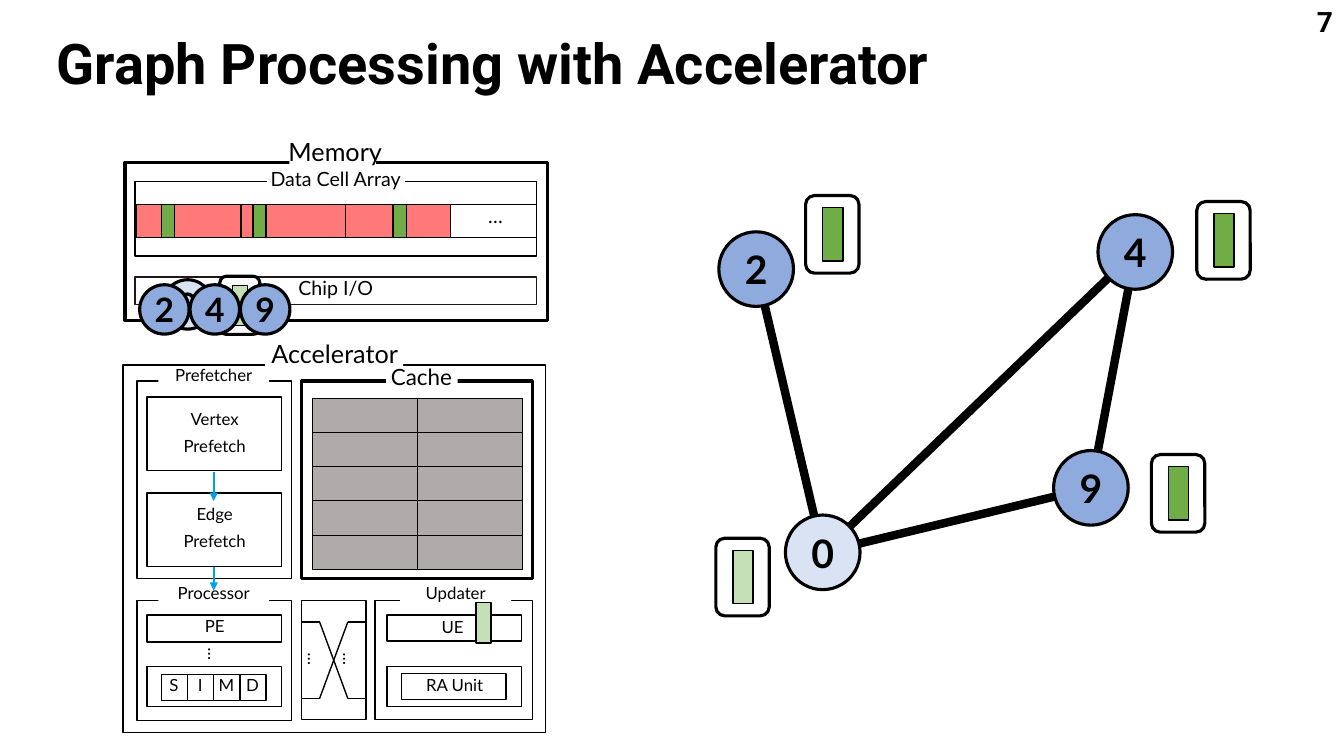
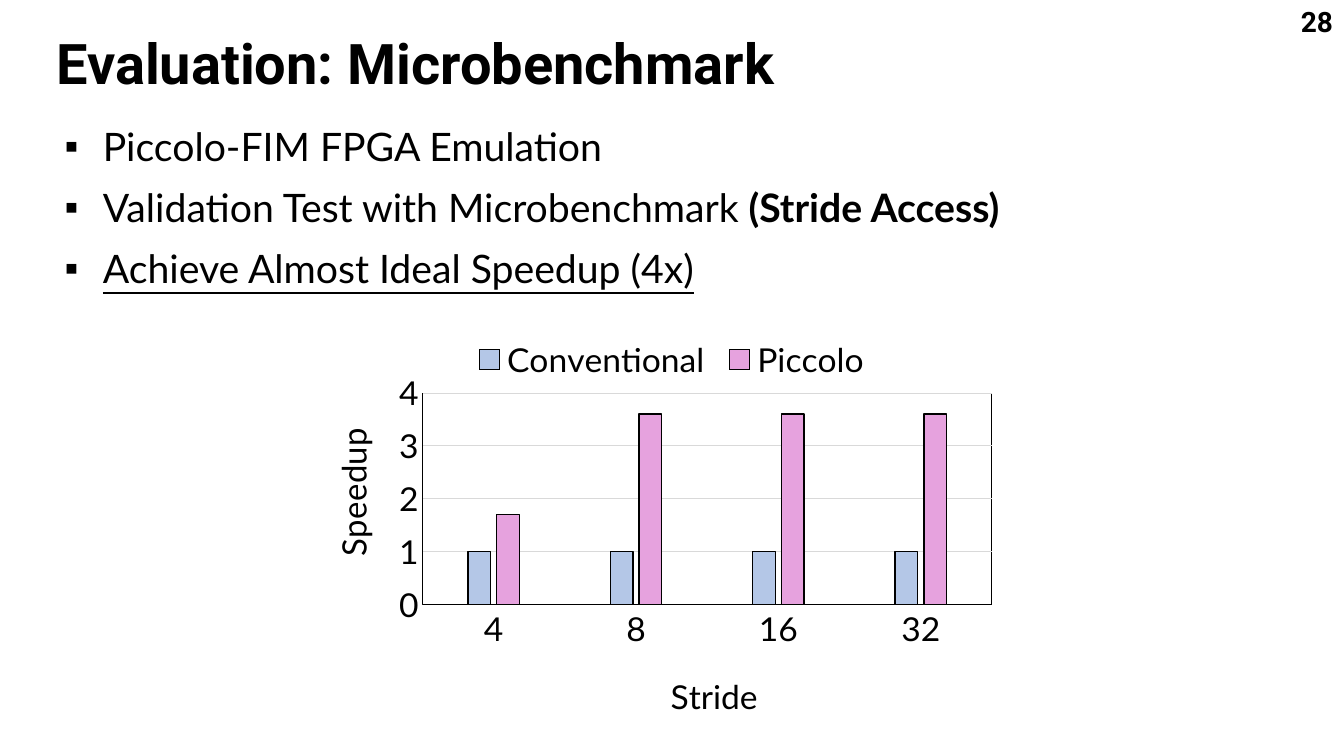
from lxml.etree import SubElement
from pptx import Presentation
from pptx.chart.data import CategoryChartData
from pptx.dml.color import RGBColor
from pptx.enum.chart import XL_CHART_TYPE, XL_LEGEND_POSITION, XL_TICK_MARK
from pptx.enum.shapes import MSO_CONNECTOR, MSO_SHAPE
from pptx.enum.text import MSO_ANCHOR, MSO_AUTO_SIZE, PP_ALIGN
from pptx.oxml import parse_xml
from pptx.oxml.ns import nsdecls, qn
from pptx.util import Inches, Pt

BLACK, WHITE = "000000", "FFFFFF"
BLUE, PALE_BLUE = "8FAADC", "DAE3F3"
GREEN, PALE_GREEN = "70AD47", "C5E0B4"
RED, GRAY, CYAN = "FF7979", "AFABAB", "00A0E9"


def rgb(value):
    return RGBColor.from_string(value)


def assign(target, values):
    for name, value in values.items():
        setattr(target, name, value)


def set_layout(node, **fractions):
    """Give a chart part a manual layout in fractions of the chart."""
    for old in node.findall(qn("c:layout")):
        node.remove(old)
    target = '<c:layoutTarget val="inner"/>' if node.tag == qn("c:plotArea") else ""
    modes = "".join(f'<c:{k}Mode val="edge"/>' for k in "xy")
    sizes = "".join(f'<c:{k} val="{v}"/>' for k, v in fractions.items())
    layout = parse_xml(f'<c:layout {nsdecls("c")}><c:manualLayout>{target}{modes}{sizes}'
                       "</c:manualLayout></c:layout>")
    overlay = node.find(qn("c:overlay"))
    if overlay is None:
        node.insert(0, layout)
    else:
        overlay.addprevious(layout)


class Deck:
    heading_font, body_font = "Roboto", "Lato"

    def __init__(self):
        self.prs = Presentation()
        self.prs.slide_width, self.prs.slide_height = Inches(13.33), Inches(7.5)
        self.slide = None

    def font(self, font, size, name=None, bold=False, underline=False):
        assign(font, {"size": Pt(size), "name": name or self.body_font,
                      "bold": bold, "underline": underline})
        font.color.rgb = rgb(BLACK)

    def place(self, shape, x, y, w, h):
        assign(shape, {"left": Inches(x), "top": Inches(y),
                       "width": Inches(w), "height": Inches(h)})

    def put_text(self, frame, text, size, align=PP_ALIGN.CENTER, spacing=0.9, **style):
        paragraph = frame.paragraphs[0]
        assign(paragraph, {"alignment": align, "line_spacing": spacing})
        run = paragraph.add_run()
        run.text = text
        self.font(run.font, size, **style)

    def new_slide(self, title, number, layout):
        self.slide = self.prs.slides.add_slide(self.prs.slide_layouts[layout])
        heading = self.slide.shapes.title
        self.place(heading, 0.46, 0.29, 12.32, 0.74)
        assign(heading.text_frame, {"vertical_anchor": MSO_ANCHOR.MIDDLE,
                                    "auto_size": MSO_AUTO_SIZE.NONE})
        style = {"name": self.heading_font, "bold": True}
        self.put_text(heading.text_frame, title, 40, PP_ALIGN.LEFT, **style)
        self.label(str(number), 10.32, 0, 3, 0.4, 20, align=PP_ALIGN.RIGHT,
                   side=0.1, spacing=1.0, **style)

    def label(self, text, x, y, w, h=0.33, size=12, rotation=0, side=0, **style):
        box = self.slide.shapes.add_textbox(Inches(x), Inches(y), Inches(w), Inches(h))
        box.rotation = rotation
        assign(box.text_frame, {"word_wrap": True, "margin_left": Inches(side),
                                "margin_right": Inches(side)})
        self.put_text(box.text_frame, text, size, **style)

    def shape(self, x, y, w, h, fill=None, line=BLACK, width=1, kind=MSO_SHAPE.RECTANGLE):
        shape = self.slide.shapes.add_shape(kind, Inches(x), Inches(y), Inches(w), Inches(h))
        shape.shadow.inherit = False
        if fill:
            shape.fill.solid()
            shape.fill.fore_color.rgb = rgb(fill)
        else:
            shape.fill.background()
        if line:
            shape.line.color.rgb = rgb(line)
            shape.line.width = Pt(width)
        else:
            shape.line.fill.background()
        return shape

    def vertex(self, text, cx, cy, fill, diameter=0.74, size=28):
        circle = self.shape(cx - diameter / 2, cy - diameter / 2, diameter, diameter,
                            fill, width=2.25, kind=MSO_SHAPE.OVAL)
        frame = circle.text_frame
        assign(frame, {"margin_left": 0, "margin_right": 0, "margin_top": 0,
                       "margin_bottom": 0, "vertical_anchor": MSO_ANCHOR.MIDDLE})
        self.put_text(frame, text, size, spacing=1.0, bold=True)

    def card(self, x, y, fill, scale=1.0):
        """A rounded card that carries one data chip."""
        self.shape(x, y, 0.53 * scale, 0.77 * scale, WHITE, width=2.25,
                   kind=MSO_SHAPE.ROUNDED_RECTANGLE)
        self.shape(x + 0.17 * scale, y + 0.12 * scale, 0.2 * scale, 0.53 * scale, fill)

    def line(self, x1, y1, x2, y2, color=BLACK, width=1, arrow=False):
        line = self.slide.shapes.add_connector(
            MSO_CONNECTOR.STRAIGHT, Inches(x1), Inches(y1), Inches(x2), Inches(y2))
        line.line.color.rgb = rgb(color)
        line.line.width = Pt(width)
        properties = line._element.spPr
        if arrow:
            SubElement(properties.find(qn("a:ln")), qn("a:tailEnd"), type="triangle")
        SubElement(properties, qn("a:effectLst"))

    def bullets(self, items, x, y, w, h):
        body = self.slide.placeholders[1]
        self.place(body, x, y, w, h)
        frame = body.text_frame
        frame.auto_size = MSO_AUTO_SIZE.NONE
        for i, runs in enumerate(items):
            paragraph = frame.add_paragraph() if i else frame.paragraphs[0]
            properties = paragraph._p.get_or_add_pPr()
            properties.set("marL", str(Inches(0.38)))
            properties.set("indent", str(Inches(-0.38)))
            SubElement(properties, qn("a:buChar"), char="▪")
            paragraph.space_before = Pt(10 if i else 0)
            for text, style in runs:
                run = paragraph.add_run()
                run.text = text
                self.font(run.font, 28, **style)

    def column_chart(self, categories, series, x, y, w, h):
        data = CategoryChartData()
        data.categories = categories
        for name, values, _ in series:
            data.add_series(name, values)
        chart = self.slide.shapes.add_chart(
            XL_CHART_TYPE.COLUMN_CLUSTERED, Inches(x), Inches(y), Inches(w), Inches(h),
            data).chart
        self.font(chart.font, 24)
        chart.has_title = False
        plot = chart.plots[0]
        assign(plot, {"gap_width": 400, "overlap": -27, "vary_by_categories": False})
        for bars, (_, _, color) in zip(plot.series, series):
            bars.invert_if_negative = False
            bars.format.fill.solid()
            bars.format.fill.fore_color.rgb = rgb(color)
            bars.format.line.color.rgb = rgb(BLACK)
            bars.format.line.width = Pt(1)
        # Legend and plot frame
        chart.has_legend = True
        assign(chart.legend, {"position": XL_LEGEND_POSITION.TOP, "include_in_layout": False})
        self.font(chart.legend.font, 24)
        set_layout(chart.element.xpath(".//c:legend")[0], x=0.24, y=0.03, w=0.58, h=0.11)
        plot_area = chart.element.xpath(".//c:plotArea")[0]
        set_layout(plot_area, x=0.18, y=0.17, w=0.8, h=0.54)
        plot_area.append(parse_xml(
            f'<c:spPr {nsdecls("c", "a")}><a:noFill/><a:ln w="{Pt(0.75)}"><a:solidFill>'
            f'<a:srgbClr val="{BLACK}"/></a:solidFill></a:ln></c:spPr>'))
        return chart

    def axis(self, axis, title, x, y, turn=0):
        assign(axis, {"major_tick_mark": XL_TICK_MARK.NONE,
                      "minor_tick_mark": XL_TICK_MARK.NONE, "has_title": True})
        self.font(axis.tick_labels.font, 24)
        frame = axis.axis_title.text_frame
        self.put_text(frame, title, 24, spacing=1.0)
        node = axis.axis_title._element
        node.xpath(".//a:bodyPr")[0].set("rot", str(turn * 60000))
        set_layout(node, x=x, y=y)


def draw_graph(deck):
    centers = {"0": (8.16, 5.48), "2": (7.5, 2.67), "4": (11.26, 2.5), "9": (10.82, 4.84)}
    for start, end in ("40", "90", "49", "20"):
        deck.line(*centers[start], *centers[end], width=6)
    for name, center in centers.items():
        deck.vertex(name, *center, PALE_BLUE if name == "0" else BLUE)
    for x, y, fill in ((7.99, 1.94, GREEN), (11.87, 2, GREEN),
                       (11.42, 4.51, GREEN), (7.1, 5.34, PALE_GREEN)):
        deck.card(x, y, fill)


def draw_accelerator(deck):
    # Outer frame and the four units
    deck.shape(1.22, 3.62, 4.19, 3.65)
    for x, y, w, h in ((1.36, 3.78, 1.53, 1.96), (1.36, 5.96, 1.53, 1.19),
                       (3.72, 5.96, 1.56, 1.18), (2.99, 5.96, 0.64, 1.18)):
        deck.shape(x, y, w, h)
    deck.shape(2.99, 3.78, 2.29, 1.96, width=2.25)
    # Blocks inside the units
    for y, h in ((3.94, 0.73), (4.89, 0.73), (6.1, 0.27), (6.61, 0.4)):
        deck.shape(1.46, y, 1.33, h)
    for y, h in ((6.1, 0.26), (6.61, 0.4)):
        deck.shape(3.84, y, 1.33, h)
    deck.shape(3.98, 6.68, 1.04, 0.26)
    for i, letter in enumerate("SIMD"):
        deck.shape(1.6 + 0.26 * i, 6.69, 0.26, 0.26)
        deck.label(letter, 1.55 + 0.26 * i, 6.67, 0.35)
    # Crossbar
    for y, opposite in ((6.17, 6.93), (6.93, 6.17)):
        deck.line(2.99, y, 3.17, y)
        deck.line(3.45, y, 3.63, y)
        deck.line(3.17, y, 3.45, opposite)
    # Captions that interrupt the frames
    for text, gap, box, size in (
            ("Accelerator", (2.63, 3.31, 1.37, 0.42), (2.5, 3.34), 18),
            ("Prefetcher", (1.57, 3.64, 1.1, 0.22), (1.3, 3.59), 12),
            ("Processor", (1.57, 5.79, 1.1, 0.22), (1.3, 5.75), 12),
            ("Updater", (3.97, 5.79, 1.1, 0.22), (3.7, 5.75), 12),
            ("Cache", (3.83, 3.68, 0.71, 0.17), (3.36, 3.58), 16)):
        deck.shape(*gap, fill=WHITE, line=None)
        deck.label(text, *box, 1.64, size=size)
    for text, x, y in (("Vertex", 1.6, 4.03), ("Prefetch", 1.6, 4.3), ("Edge", 1.6, 4.97),
                       ("Prefetch", 1.6, 5.24), ("PE", 1.6, 6.08),
                       ("UE", 3.96, 6.09), ("RA Unit", 3.98, 6.67)):
        deck.label(text, x, y, 1.06)
    for x, y in ((1.88, 6.32), (2.87, 6.37), (3.22, 6.37)):
        deck.label("…", x, y, 0.35, rotation=270)
    for top, bottom in ((4.68, 4.97), (5.63, 5.86)):
        deck.line(2.12, top, 2.12, bottom, CYAN, 1.5, arrow=True)
    # Cache lines
    for row in range(5):
        for column in range(2):
            deck.shape(3.1 + 1.04 * column, 3.95 + 0.34 * row, 1.04, 0.34, GRAY, width=0.75)
    # Datum in the update engine
    deck.shape(4.72, 5.98, 0.15, 0.4, PALE_GREEN)


def draw_memory(deck):
    deck.shape(1.24, 1.61, 4.19, 1.57, WHITE, width=2.25)
    deck.shape(1.34, 1.8, 3.98, 0.74, WHITE)
    deck.shape(1.35, 2.03, 3.97, 0.33, WHITE)
    deck.label("…", 4.78, 2, 0.27, size=14)
    deck.shape(2.65, 1.75, 1.37, 0.13, WHITE, None)
    deck.label("Data Cell Array", 2.41, 1.63, 1.84, size=14)
    deck.shape(1.34, 2.75, 3.98, 0.27, WHITE, "231815")
    deck.label("Chip I/O", 2.81, 2.69, 1.04, size=14, spacing=1.0)
    deck.shape(2.87, 1.33, 0.86, 0.3, WHITE, None)
    deck.label("Memory", 2.74, 1.34, 1.17, size=18)
    # Data cells, each with one wanted word
    for i in range(3):
        deck.shape(1.35 + 1.04 * i, 2.03, 1.04, 0.33, RED)
    for x in (1.6, 2.51, 3.9):
        deck.shape(x, 2.03, 0.13, 0.33, GREEN)
    # Vertices waiting at the chip interface
    small = {"diameter": 0.49, "size": 24}
    deck.vertex("0", 1.86, 3.02, PALE_BLUE, **small)
    deck.card(2.18, 2.74, PALE_GREEN, 0.75)
    for i, name in enumerate("249"):
        deck.vertex(name, 1.63 + 0.5 * i, 3.07, BLUE, **small)


def draw_evaluation(deck):
    deck.bullets([
        [("Piccolo-FIM FPGA Emulation", {})],
        [("Validation Test with Microbenchmark ", {}), ("(Stride Access)", {"bold": True})],
        [("Achieve Almost Ideal Speedup (4x)", {"underline": True})],
    ], 0.54, 1.16, 12.18, 2.4)
    chart = deck.column_chart(
        ["4", "8", "16", "32"],
        [("Conventional", (1, 1, 1, 1), "B4C7E7"),
         ("Piccolo", (1.7, 3.6, 3.6, 3.6), "E6A2DE")], 2.92, 3.24, 7.06, 3.97)
    stride, speedup = chart.category_axis, chart.value_axis
    deck.axis(stride, "Stride", 0.52, 0.87)
    deck.axis(speedup, "Speedup", 0.04, 0.25, turn=-90)
    stride.format.line.color.rgb = rgb(BLACK)
    stride.format.line.width = Pt(0.75)
    assign(speedup, {"minimum_scale": 0, "maximum_scale": 4, "major_unit": 1})
    speedup.format.line.fill.background()
    grid = speedup.major_gridlines.format.line
    grid.color.rgb = rgb("D9D9D9")
    grid.width = Pt(0.75)


def main():
    deck = Deck()
    deck.new_slide("Graph Processing with Accelerator", 7, layout=5)
    draw_graph(deck)
    draw_accelerator(deck)
    draw_memory(deck)
    deck.new_slide("Evaluation: Microbenchmark", 28, layout=1)
    draw_evaluation(deck)
    deck.prs.save("out.pptx")


if __name__ == "__main__":
    main()
